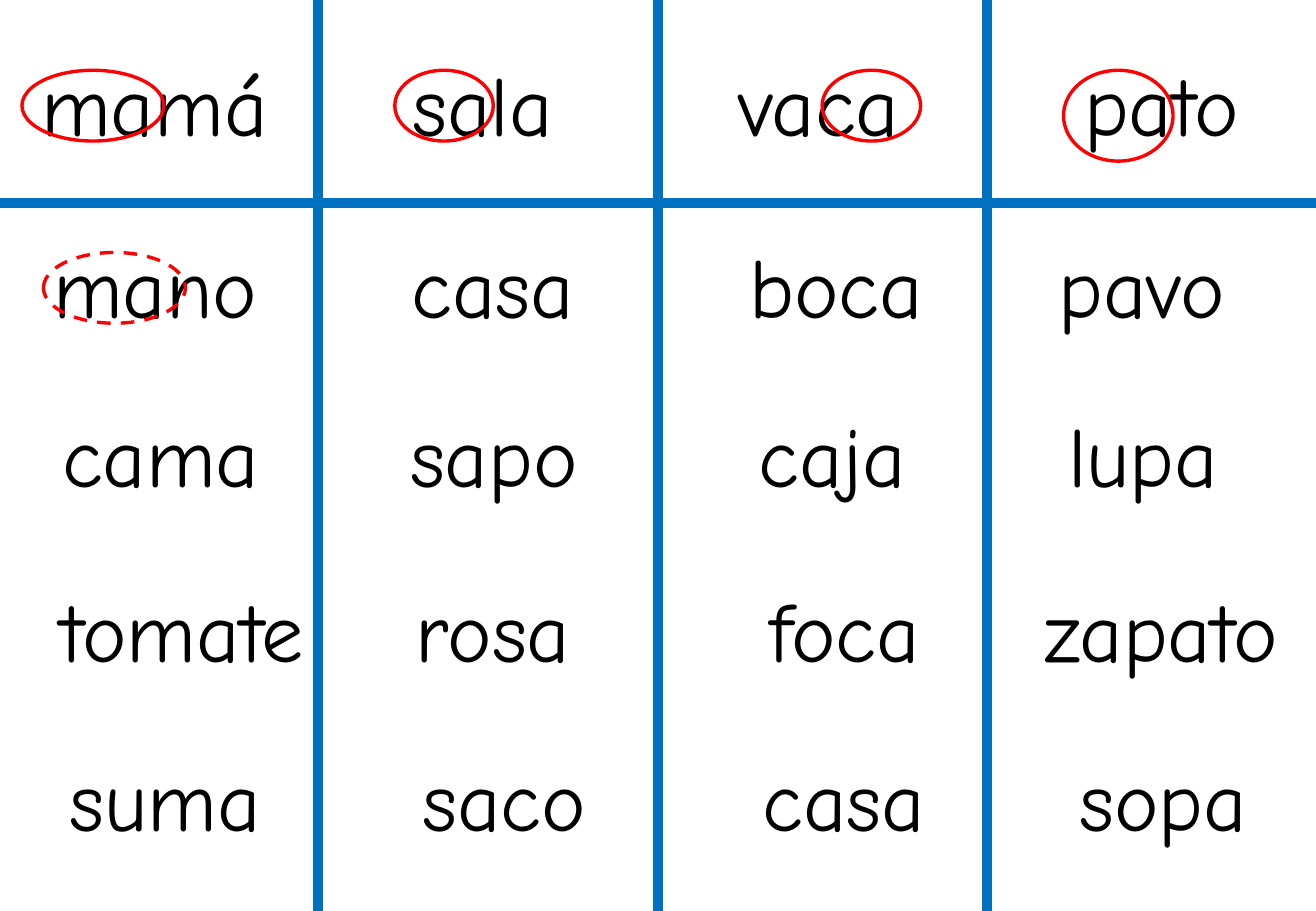
from dataclasses import dataclass

from lxml.etree import SubElement
from pptx import Presentation
from pptx.dml.color import RGBColor
from pptx.enum.dml import MSO_LINE
from pptx.enum.shapes import MSO_CONNECTOR, MSO_SHAPE
from pptx.enum.text import MSO_AUTO_SIZE
from pptx.oxml.ns import qn
from pptx.util import Cm, Pt

COLORS = {"page": "FFFFFF", "grid": "0070C0", "word": "000000", "ring": "FF0000"}
FONT = "Comic Neue"
PAGE_WIDTH, PAGE_HEIGHT = 27.53, 19.05
HEADER_BOTTOM = 4.24
COLUMN_LEFTS = [0, 6.65, 13.77, 20.65]
ROW_TOPS = [0.97, 4.78, 8.31, 11.96, 15.49]
WORD_HEIGHT = 2.39
RING_DROP = 0.5


@dataclass
class Word:
    text: str
    indent: float
    width: float


@dataclass
class Ring:
    column: int
    row: int
    indent: float
    width: float
    height: float = 1.48
    dashed: bool = False


WORD_COLUMNS = [
    [Word("mamá", 0.61, 5.3), Word("mano", 0.86, 4.85), Word("cama", 1.05, 4.7),
     Word("tomate", 1.02, 5.75), Word("suma", 1.2, 4.6)],
    [Word("sala", 1.73, 3.52), Word("casa", 1.71, 3.98), Word("sapo", 1.68, 4.08),
     Word("rosa", 1.8, 3.85), Word("saco", 1.94, 4.01)],
    [Word("vaca", 1.42, 3.98), Word("boca", 1.65, 4.21), Word("caja", 1.85, 3.65),
     Word("foca", 2.07, 3.75), Word("casa", 1.93, 3.98)],
    [Word("pato", 1.78, 3.85), Word("pavo", 1.24, 4.08), Word("lupa", 1.45, 3.7),
     Word("zapato", 0.96, 5.53), Word("sopa", 1.68, 4.08)],
]

RINGS = [
    Ring(0, 0, 0.46, 2.97),
    Ring(1, 0, 1.61, 2.06),
    Ring(2, 0, 3.43, 2.06),
    Ring(3, 0, 1.6, 2.29, height=1.9),
    Ring(0, 1, 0.91, 2.97, dashed=True),
]


def color(name):
    return RGBColor.from_string(COLORS[name])


def add_rule(page, left, top, right, bottom):
    rule = page.shapes.add_connector(
        MSO_CONNECTOR.STRAIGHT, Cm(left), Cm(top), Cm(right), Cm(bottom))
    rule.line.color.rgb = color("grid")
    rule.line.width = Pt(6)
    SubElement(rule._element.spPr, qn("a:effectLst"))


def add_grid(page, width, height):
    add_rule(page, 0, HEADER_BOTTOM, width, HEADER_BOTTOM)
    for left in COLUMN_LEFTS[1:]:
        add_rule(page, left, 0, left, height)


def add_word(page, word, left, top):
    box = page.shapes.add_textbox(
        Cm(left + word.indent), Cm(top), Cm(word.width), Cm(WORD_HEIGHT))
    frame = box.text_frame
    frame.word_wrap = False
    frame.auto_size = MSO_AUTO_SIZE.SHAPE_TO_FIT_TEXT
    frame.text = word.text
    span = frame.paragraphs[0].runs[0]
    span.font.name = FONT
    span.font.size = Pt(50)
    span.font.color.rgb = color("word")


def add_word_column(page, words, left):
    for word, top in zip(words, ROW_TOPS):
        add_word(page, word, left, top)


def add_ring(page, ring, left, top):
    oval = page.shapes.add_shape(
        MSO_SHAPE.OVAL, Cm(left + ring.indent), Cm(top + RING_DROP),
        Cm(ring.width), Cm(ring.height))
    oval.shadow.inherit = False
    oval.fill.background()
    oval.line.color.rgb = color("ring")
    oval.line.width = Pt(2)
    if ring.dashed:
        oval.line.dash_style = MSO_LINE.DASH


def add_word_page(deck):
    page = deck.slides.add_slide(deck.slide_layouts[6])
    page.background.fill.solid()
    page.background.fill.fore_color.rgb = color("page")
    add_grid(page, PAGE_WIDTH, PAGE_HEIGHT)
    for words, left in zip(WORD_COLUMNS, COLUMN_LEFTS):
        add_word_column(page, words, left)
    for ring in RINGS:
        add_ring(page, ring, COLUMN_LEFTS[ring.column], ROW_TOPS[ring.row])


def main():
    deck = Presentation()
    deck.slide_width = Cm(PAGE_WIDTH)
    deck.slide_height = Cm(PAGE_HEIGHT)
    add_word_page(deck)
    deck.save("out.pptx")


if __name__ == "__main__":
    main()
